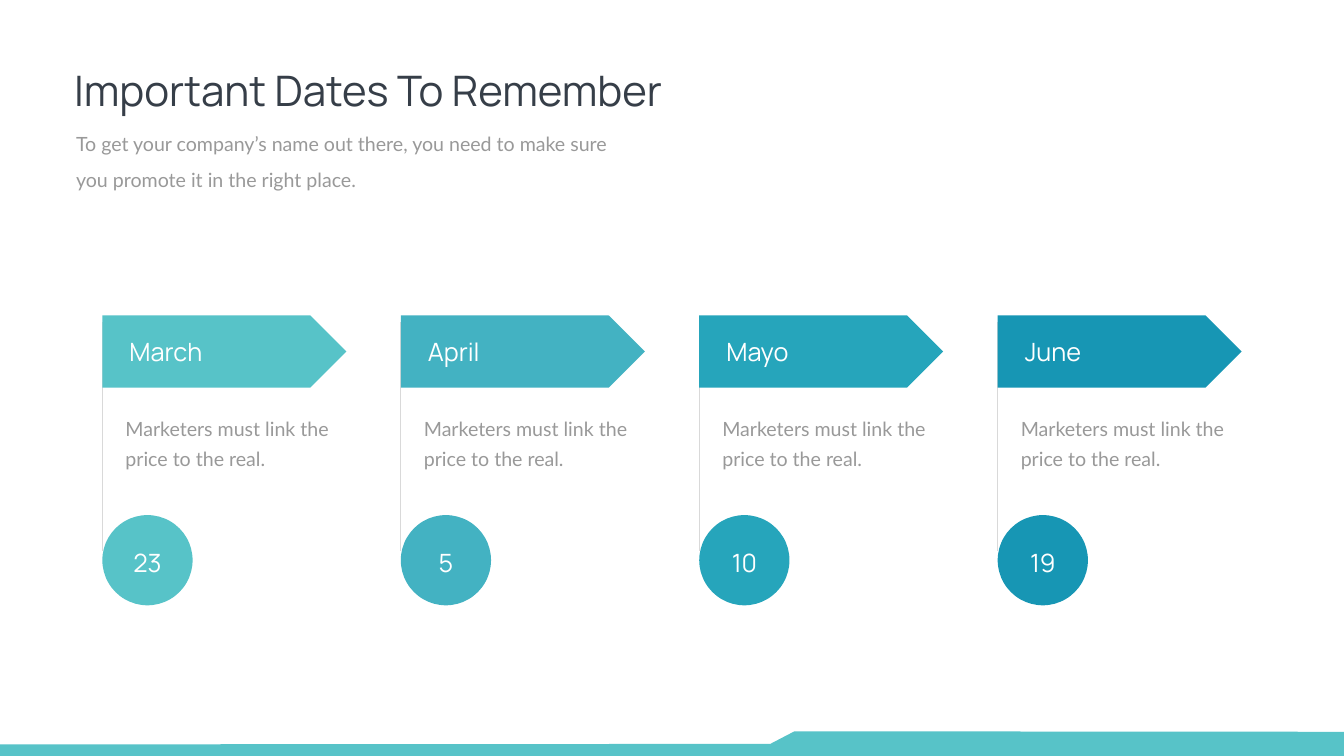
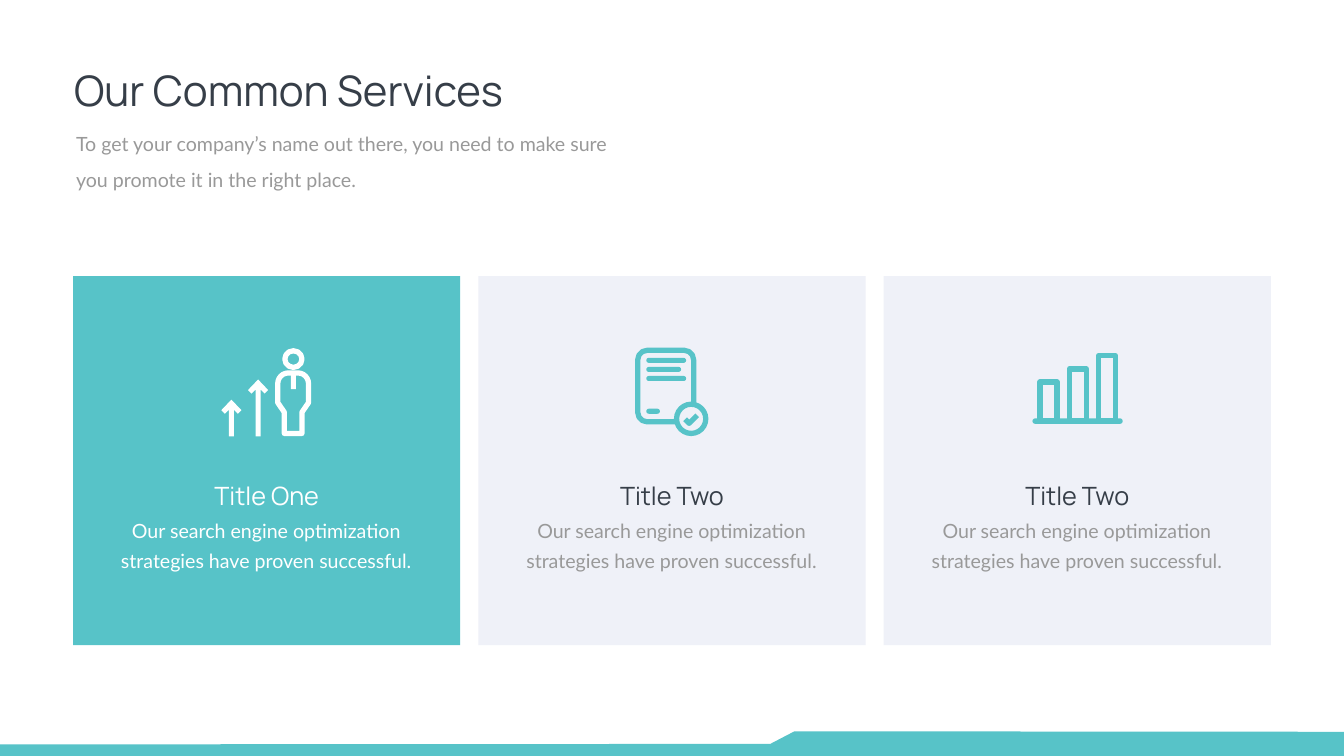
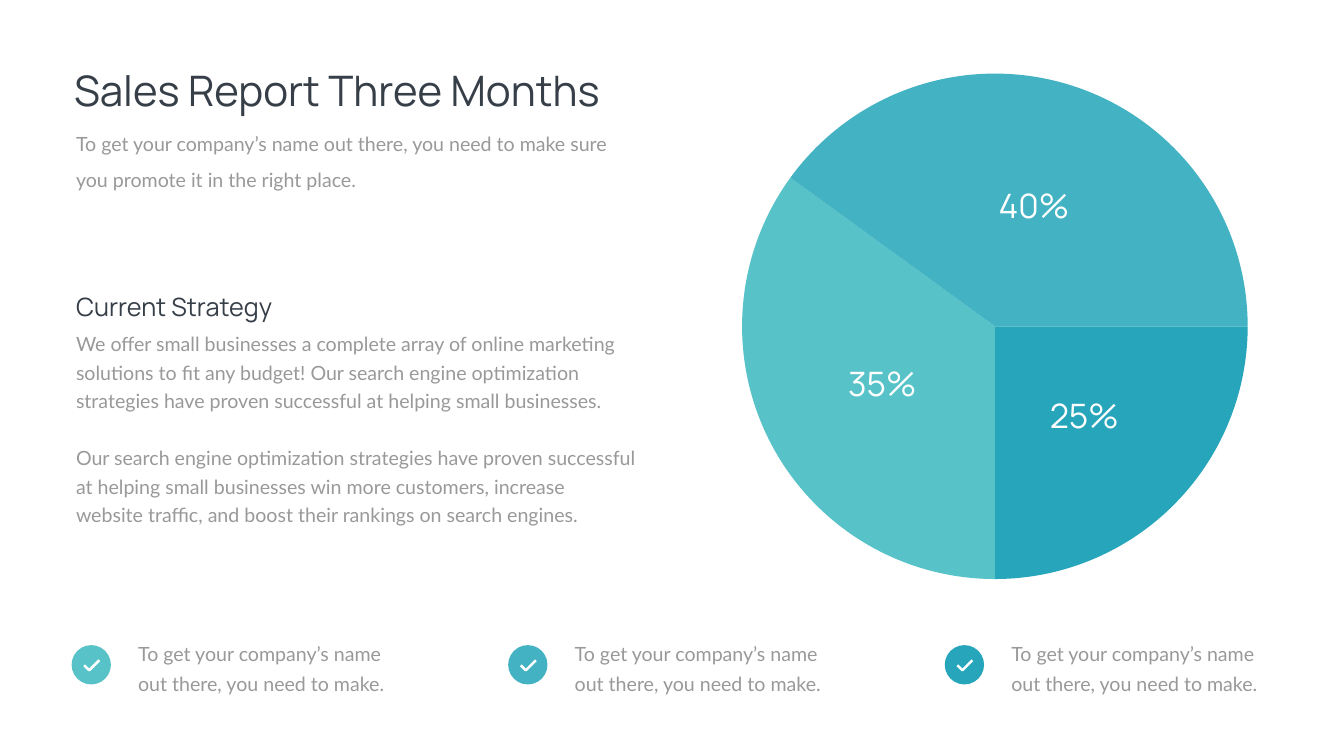
from dataclasses import dataclass
from math import cos, pi, sin

from lxml.etree import SubElement
from pptx import Presentation
from pptx.chart.data import CategoryChartData as Data
from pptx.dml.color import RGBColor as Rgb
from pptx.enum.chart import XL_CHART_TYPE as Chart, XL_LABEL_POSITION as Spot
from pptx.enum.shapes import MSO_CONNECTOR as Link, MSO_SHAPE as Kind
from pptx.enum.text import MSO_AUTO_SIZE as Fit, PP_ALIGN as Align
from pptx.oxml import parse_xml
from pptx.oxml.ns import nsdecls, qn
from pptx.util import Inches, Pt


@dataclass(frozen=True)
class Theme:
    """Colours, fonts and type sizes of the deck."""
    teals: tuple = ("57C3C8", "43B2C2", "26A5BB", "1796B4")
    dark: str = "363E48"
    grey: str = "999999"
    rule: str = "D9D9D9"
    pale: str = "EFF1F8"
    white: str = "FFFFFF"
    head: str = "Manrope"
    body: str = "Lato"
    big: int = 60
    share: int = 48
    mid: int = 36
    small: int = 28
    lead: float = 43
    tight: float = 40.8
    stroke: float = 7.5


T = Theme()
MAIN = T.teals[0]
HEAD = {"name": T.head, "size": Pt(T.mid)}
BODY = {"name": T.body, "size": Pt(T.small)}
LEAD = {"line_spacing": Pt(T.lead)}
MID = {"alignment": Align.CENTER}


def put(obj, vals):
    """Set each attribute in vals on obj."""
    for key, val in vals.items():
        setattr(obj, key, val)


def box(*nums):
    """Turn numbers into lengths in inches."""
    return [Inches(n) for n in nums]


def text(slide, at, lines, font, tone, para=None, frame=None):
    """Add a text box with one paragraph per line."""
    area = slide.shapes.add_textbox(*box(*at)).text_frame
    put(area, {"word_wrap": True, "auto_size": Fit.SHAPE_TO_FIT_TEXT, **(frame or {})})
    for num, line in enumerate(lines):
        row = area.add_paragraph() if num else area.paragraphs[0]
        put(row, para or {})
        run = row.add_run()
        run.text = line
        put(run.font, font)
        run.font.color.rgb = Rgb.from_string(tone)
    return area


def paint(item, fill=None, line=None, width=T.stroke):
    """Give a shape its fill and outline, without a shadow."""
    item.shadow.inherit = False
    for part, tone in ((item.fill, fill), (item.line.fill, line)):
        if tone:
            part.solid()
            part.fore_color.rgb = Rgb.from_string(tone)
        else:
            part.background()
    if line:
        item.line.width = Pt(width)
    return item


def form(slide, kind, at, fill=None, line=None, adj=None):
    """Add a preset shape."""
    item = paint(slide.shapes.add_shape(kind, *box(*at)), fill, line)
    if adj is not None:
        item.adjustments[0] = adj
    return item


def poly(slide, dots, fill=None, line=None, width=T.stroke, close=True):
    """Add an outline through the given points."""
    first, *rest = [box(*dot) for dot in dots]
    path = slide.shapes.build_freeform(*first, scale=1.0)
    path.add_line_segments(rest, close=close)
    return paint(path.convert_to_shape(), fill, line, width)


def rule(slide, x, top, end):
    """Add a thin upright line."""
    item = slide.shapes.add_connector(Link.STRAIGHT, *box(x, top, x, end))
    item.line.color.rgb = Rgb.from_string(T.rule)
    item.line.width = Pt(2)
    SubElement(item.line._get_or_add_ln().getparent(), qn("a:effectLst"))


def tick(slide, x, y, unit, tone, width):
    """Add a check mark that starts at x, y."""
    dots = [(x + a * unit, y + b * unit) for a, b in ((0, 0), (1, 1), (3, -1))]
    poly(slide, dots, None, tone, width, False)


def start(deck, title, band=True):
    """Add a slide with its heading, intro and bottom band."""
    slide = deck.slides.add_slide(deck.slide_layouts[6])
    text(slide, (1.37, 1.23, 13.95, 1.11), [title], {**HEAD, "size": Pt(T.big)}, T.dark)
    text(slide, (1.41, 2.34, 11.21, 1.42),
         ["To get your company’s name out there, you need to make sure "
          "you promote it in the right place."], BODY, T.grey, {"line_spacing": 1.5})
    if band:
        poly(slide, [(0, 15), (26.66, 15), (26.66, 14.52), (15.76, 14.51),
                     (15.28, 14.76), (0, 14.77)], MAIN)
    return slide


def month(slide, x, name, day, tone):
    """Add one month with its banner, note and day."""
    form(slide, Kind.OVAL, (x, 10.22, 1.79, 1.79), tone)
    rule(slide, x, 6.39, 10.94)
    form(slide, Kind.PENTAGON, (x, 6.26, 4.84, 1.43), tone)
    text(slide, (x + .44, 6.63, 2.06, .71), [name], HEAD, T.white)
    text(slide, (x + .36, 8.09, 4.48, 1.48),
         ["Marketers must link the price to the real."], BODY, T.grey, LEAD)
    text(slide, (x + .27, 10.81, 1.25, .71), [day], HEAD, T.white, MID)


def growth(slide, tone):
    """Draw a person beside two rising arrows."""
    for x, top in ((4.59, 7.93), (5.12, 7.53)):
        half = [(.2, .21), (.13, .28), (.05, .2), (.05, 8.66 - top)]
        left = [(x - a, top + b) for a, b in half]
        right = [(x + a, top + b) for a, b in reversed(half)]
        poly(slide, [(x, top), *left, *right], tone)
    form(slide, Kind.OVAL, (5.65, 6.96, .34, .33), None, tone)
    turn = [k * pi / 12 for k in range(7)]
    left = [(5.72 - .21 * cos(a), 7.61 - .21 * sin(a)) for a in turn]
    right = [(5.91 + .21 * sin(a), 7.61 - .21 * cos(a)) for a in turn]
    poly(slide, [*left, *right, (6.12, 7.99), (5.99, 8.18), (5.99, 8.6),
                 (5.64, 8.6), (5.64, 8.18), (5.51, 7.99)], None, tone)
    form(slide, Kind.RECTANGLE, (5.77, 7.42, .1, .3), tone)


def report(slide, tone):
    """Draw a page with a check badge."""
    form(slide, Kind.ROUNDED_RECTANGLE, (12.65, 6.95, 1.11, 1.42), None, tone, .17)
    for y, wide in ((7.1, .79), (7.28, .69), (7.46, .79), (8.11, .27)):
        form(slide, Kind.ROUNDED_RECTANGLE, (12.82, y, wide, .1), tone, adj=.5)
    form(slide, Kind.OVAL, (13.42, 8.02, .58, .58), T.pale, tone)
    tick(slide, 13.59, 8.32, .08, tone, T.stroke)


def bars(slide, tone):
    """Draw three rising bars on a base."""
    for num in range(3):
        top = 7.58 - .26 * num
        form(slide, Kind.RECTANGLE, (20.63 + .58 * num, top, .34, 8.35 - top), None, tone)
    form(slide, Kind.ROUNDED_RECTANGLE, (20.48, 8.3, 1.79, .11), tone, adj=.5)


def card(slide, x, title, fill, head, tone):
    """Add one service card."""
    form(slide, Kind.RECTANGLE, (x, 5.48, 7.68, 7.32), fill)
    text(slide, (x + .66, 10.11, 6.34, 1.25),
         ["Our search engine optimization strategies have proven successful."],
         BODY, tone, {**LEAD, **MID})
    text(slide, (x + 2.04, 9.48, 3.6, .71), [title], HEAD, head, MID)


def pie(slide, at, shares):
    """Add a pie chart that fills its frame, from (name, value, colour) rows."""
    data = Data(number_format="0%")
    data.categories = [name for name, _, _ in shares]
    data.add_series("Sales", [val for _, val, _ in shares])
    chart = slide.shapes.add_chart(Chart.PIE, *box(*at), data).chart
    put(chart, {"has_legend": False, "has_title": False})
    plot = chart.plots[0]
    put(plot, {"vary_by_categories": False, "has_data_labels": True})
    for num, (_, _, tone) in enumerate(shares):
        look = plot.series[0].points[num].format
        look.fill.solid()
        look.fill.fore_color.rgb = Rgb.from_string(tone)
        look.line.fill.background()
    tags = plot.data_labels
    put(tags, {"show_value": True, "show_percentage": False, "number_format": "0%",
               "number_format_is_linked": False, "position": Spot.CENTER})
    put(tags.font, {**HEAD, "size": Pt(T.share)})
    tags.font.color.rgb = Rgb.from_string(T.white)
    root = chart.element
    SubElement(root.find(".//" + qn("c:pieChart")), qn("c:firstSliceAng")).set("val", "90")
    area = root.find(".//" + qn("c:plotArea"))
    for old in area.findall(qn("c:layout")):
        area.remove(old)
    rows = (("layoutTarget", "inner"), ("xMode", "edge"), ("yMode", "edge"),
            ("x", 0), ("y", 0), ("w", 1), ("h", 1))
    body = "".join(f'<c:{key} val="{val}"/>' for key, val in rows)
    area.insert(0, parse_xml(f'<c:layout {nsdecls("c")}><c:manualLayout>{body}'
                             '</c:manualLayout></c:layout>'))


def point(slide, x, tone):
    """Add one checked note."""
    text(slide, (x + 1.08, 12.48, 5.42, 1.39),
         ["To get your company’s name out there, you need to make."], BODY, T.grey, LEAD,
         {"margin_left": Inches(.24), "margin_right": Inches(.24),
          "margin_top": Inches(.12), "margin_bottom": Inches(.12)})
    form(slide, Kind.OVAL, (x, 12.8, .78, .78), tone)
    tick(slide, x + .25, 13.2, .1, T.white, 3.6)


def dates(deck):
    """Build the slide of dates."""
    slide = start(deck, "Important Dates To Remember")
    rows = (("March", "23"), ("April", "5"), ("Mayo", "10"), ("June", "19"))
    for num, (name, day) in enumerate(rows):
        month(slide, 2.03 + 5.92 * num, name, day, T.teals[num])


def offers(deck):
    """Build the slide of services."""
    slide = start(deck, "Our Common Services")
    rows = (("Title One", MAIN, T.white, T.white, growth, T.white),
            ("Title Two", T.pale, T.dark, T.grey, report, MAIN),
            ("Title Two", T.pale, T.dark, T.grey, bars, MAIN))
    for num, (title, fill, head, tone, draw, ink) in enumerate(rows):
        card(slide, 1.45 + 8.04 * num, title, fill, head, tone)
        draw(slide, ink)


def sales(deck):
    """Build the slide of sales shares."""
    slide = start(deck, "Sales Report Three Months", False)
    pie(slide, (14.72, 1.46, 10.03, 10.03),
        (("Month 1", .25, T.teals[2]), ("Month 2", .35, T.teals[0]),
         ("Month 3", .4, T.teals[1])))
    for num in range(3):
        point(slide, 1.42 + 8.66 * num, T.teals[num])
    area = text(slide, (1.41, 6.44, 11.3, 4.07),
                ["We offer small businesses a complete array of online marketing solutions "
                 "to fit any budget! Our search engine optimization strategies have proven "
                 "successful at helping small businesses.",
                 "Our search engine optimization strategies have proven successful at helping "
                 "small businesses win more customers, increase website traffic, and boost "
                 "their rankings on search engines."],
                BODY, T.grey, {"line_spacing": Pt(T.tight)})
    area.paragraphs[0].space_after = Pt(T.tight)
    text(slide, (1.41, 5.73, 4.43, .71), ["Current Strategy"], HEAD, T.dark,
         frame={"word_wrap": False})


def main():
    """Build and save the deck."""
    deck = Presentation()
    put(deck, {"slide_width": Inches(26.66), "slide_height": Inches(15)})
    for build in (dates, offers, sales):
        build(deck)
    deck.save("out.pptx")


if __name__ == "__main__":
    main()
